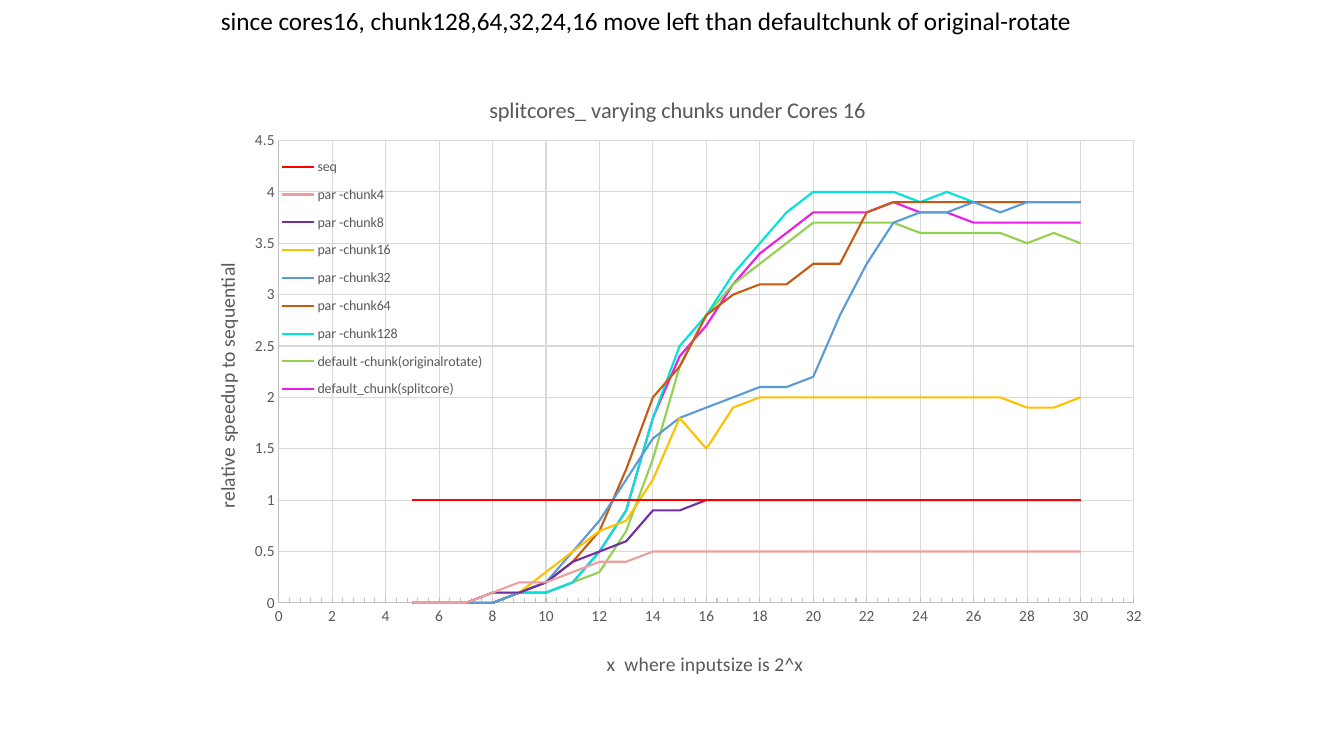
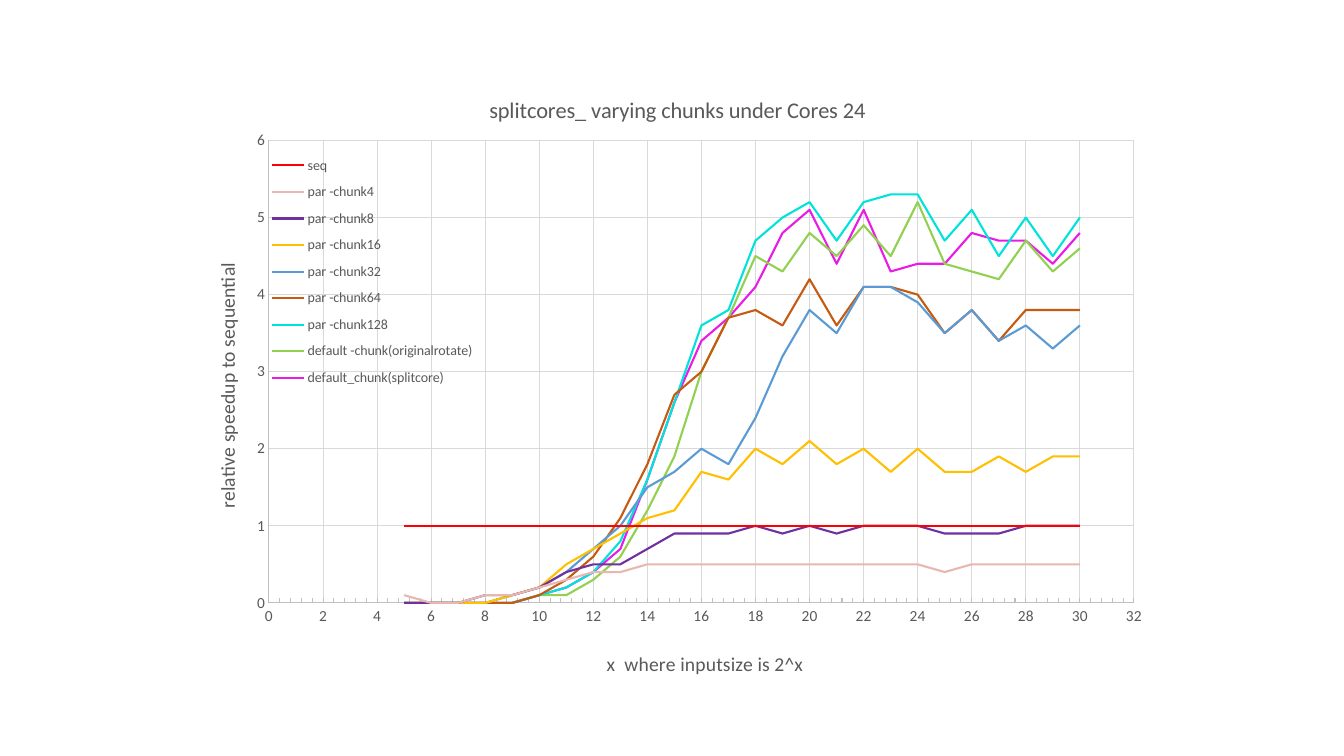
from lxml import etree
from pptx import Presentation
from pptx.chart import data as cd
from pptx.dml.color import RGBColor
from pptx.enum import chart as ec, text as et
from pptx.oxml.ns import qn
from pptx.util import Inches, Pt

FONT = "Calibri"
BLACK, GREY, AXIS, GRID = "000000", "595959", "BFBFBF", "D9D9D9"
BOX = (1.79, 0.65, 9.75, 6.2)
RIGHT = 0.97  # right edge of the plot, as a share of the chart
SIZES = range(5, 31)
NAMES = ["seq", "par -chunk4", "par -chunk8", "par -chunk16", "par -chunk32",
         "par -chunk64", "par -chunk128", "default -chunk(originalrotate)",
         "default_chunk(splitcore)"]
TINTS = ["FF0000", "EAA0A0", "7030A0", "FFC000", "5B9BD5",
         "C55A11", "00E3DA", "92D050", "E81CE6"]
SEQ = [1] * len(SIZES)

# Speedups, one row per series, one value per input size
CORES16 = [
    SEQ,
    [0, 0, 0, 0.1, 0.2, 0.2, 0.3, 0.4, 0.4] + [0.5] * 17,
    [0, 0, 0, 0.1, 0.1, 0.2, 0.4, 0.5, 0.6, 0.9, 0.9] + [1] * 15,
    [0, 0, 0, 0.1, 0.1, 0.3, 0.5, 0.7, 0.8, 1.2, 1.8, 1.5, 1.9,
     2, 2, 2, 2, 2, 2, 2, 2, 2, 2, 1.9, 1.9, 2],
    [0, 0, 0, 0, 0.1, 0.2, 0.5, 0.8, 1.2, 1.6, 1.8, 1.9, 2,
     2.1, 2.1, 2.2, 2.8, 3.3, 3.7, 3.8, 3.8, 3.9, 3.8, 3.9, 3.9, 3.9],
    [0, 0, 0, 0, 0.1, 0.2, 0.4, 0.7, 1.3, 2, 2.3, 2.8, 3,
     3.1, 3.1, 3.3, 3.3, 3.8, 3.9, 3.9, 3.9, 3.9, 3.9, 3.9, 3.9, 3.9],
    [0, 0, 0, 0, 0.1, 0.1, 0.2, 0.5, 0.9, 1.8, 2.5, 2.8, 3.2,
     3.5, 3.8, 4, 4, 4, 4, 3.9, 4, 3.9, 3.9, 3.9, 3.9, 3.9],
    [0, 0, 0, 0, 0.1, 0.1, 0.2, 0.3, 0.7, 1.4, 2.3, 2.8, 3.1,
     3.3, 3.5, 3.7, 3.7, 3.7, 3.7, 3.6, 3.6, 3.6, 3.6, 3.5, 3.6, 3.5],
    [0, 0, 0, 0, 0.1, 0.1, 0.2, 0.5, 0.9, 1.8, 2.4, 2.7, 3.1,
     3.4, 3.6, 3.8, 3.8, 3.8, 3.9, 3.8, 3.8, 3.7, 3.7, 3.7, 3.7, 3.7],
]
CORES24 = [
    SEQ,
    [0.1, 0, 0, 0.1, 0.1, 0.2, 0.3, 0.4, 0.4, 0.5, 0.5, 0.5, 0.5,
     0.5, 0.5, 0.5, 0.5, 0.5, 0.5, 0.5, 0.4, 0.5, 0.5, 0.5, 0.5, 0.5],
    [0, 0, 0, 0.1, 0.1, 0.2, 0.4, 0.5, 0.5, 0.7, 0.9, 0.9, 0.9,
     1, 0.9, 1, 0.9, 1, 1, 1, 0.9, 0.9, 0.9, 1, 1, 1],
    [0, 0, 0, 0, 0.1, 0.2, 0.5, 0.7, 0.9, 1.1, 1.2, 1.7, 1.6,
     2, 1.8, 2.1, 1.8, 2, 1.7, 2, 1.7, 1.7, 1.9, 1.7, 1.9, 1.9],
    [0, 0, 0, 0, 0.1, 0.2, 0.4, 0.7, 1, 1.5, 1.7, 2, 1.8,
     2.4, 3.2, 3.8, 3.5, 4.1, 4.1, 3.9, 3.5, 3.8, 3.4, 3.6, 3.3, 3.6],
    [0, 0, 0, 0, 0, 0.1, 0.3, 0.6, 1.1, 1.8, 2.7, 3, 3.7,
     3.8, 3.6, 4.2, 3.6, 4.1, 4.1, 4, 3.5, 3.8, 3.4, 3.8, 3.8, 3.8],
    [0, 0, 0, 0, 0, 0.1, 0.2, 0.4, 0.8, 1.6, 2.6, 3.6, 3.8,
     4.7, 5, 5.2, 4.7, 5.2, 5.3, 5.3, 4.7, 5.1, 4.5, 5, 4.5, 5],
    [0, 0, 0, 0, 0, 0.1, 0.1, 0.3, 0.6, 1.2, 1.9, 3, 3.7,
     4.5, 4.3, 4.8, 4.5, 4.9, 4.5, 5.2, 4.4, 4.3, 4.2, 4.7, 4.3, 4.6],
    [0, 0, 0, 0, 0, 0.1, 0.2, 0.4, 0.7, 1.6, 2.6, 3.4, 3.7,
     4.1, 4.8, 5.1, 4.4, 5.1, 4.3, 4.4, 4.4, 4.8, 4.7, 4.7, 4.4, 4.8],
]


def paint(target, color):
    """Give a font or a fill a solid colour."""
    target.rgb = RGBColor.from_string(color)


def style(font, size, color=GREY):
    font.name, font.size, font.bold = FONT, Pt(size), False
    paint(font.color, color)


def write(frame, words, size=14, color=GREY, align=None):
    para = frame.paragraphs[0]
    para.alignment = align
    run = para.add_run()
    run.text = words
    style(run.font, size, color)


def rule(line, color, width=0.75):
    line.width = Pt(width)
    paint(line.color, color)


def place(part, x, y, w=None, h=None):
    """Fix a chart part at shares of the chart's width and height."""
    node = part.find(qn("c:layout"))
    if node is None:
        node = etree.Element(qn("c:layout"))
        cover = part.find(qn("c:overlay"))
        if cover is None:
            part.insert(0, node)
        else:
            cover.addprevious(node)
    for child in list(node):
        node.remove(child)
    manual = etree.SubElement(node, qn("c:manualLayout"))
    items = [("xMode", "edge"), ("yMode", "edge"), ("x", x), ("y", y)]
    if w:
        items += [("w", w), ("h", h)]
    if part.tag == qn("c:plotArea"):
        items.insert(0, ("layoutTarget", "inner"))
    for name, value in items:
        etree.SubElement(manual, qn("c:" + name)).set("val", str(value))


def scale(axis, top, step, words, x, y):
    """Set up one axis with its grid and title."""
    axis.minimum_scale, axis.maximum_scale = 0, top
    axis.major_unit = step
    axis.major_tick_mark = axis.minor_tick_mark = ec.XL_TICK_MARK.NONE
    axis.has_major_gridlines = True
    rule(axis.major_gridlines.format.line, GRID)
    rule(axis.format.line, AXIS)
    style(axis.tick_labels.font, 11)
    axis.tick_labels.number_format = "General"
    axis.tick_labels.number_format_is_linked = False
    axis.has_title = True
    write(axis.axis_title.text_frame, words)
    place(axis.axis_title._element, x, y)


def graph(slide, box, title, rows, tints, top, step, left, key):
    """Draw a speedup chart; key is the legend's place."""
    data = cd.XyChartData()
    for name, row in zip(NAMES, rows):
        series = data.add_series(name)
        for point in zip(SIZES, row):
            series.add_data_point(*point)
    chart = slide.shapes.add_chart(
        ec.XL_CHART_TYPE.XY_SCATTER_LINES_NO_MARKERS,
        *map(Inches, box), data).chart
    style(chart.font, 10, BLACK)

    # Title
    chart.has_title = True
    write(chart.chart_title.text_frame, title, size=16)
    place(chart.chart_title._element, 0.31, 0.04)

    # Lines
    plot = chart.plots[0]
    plot.vary_by_categories = False
    for series, tint in zip(plot.series, tints):
        series.smooth = False
        rule(series.format.line, tint, 1.5)

    # Axes
    across, up = chart.category_axis, chart.value_axis
    scale(across, 32, 2, "x  where inputsize is 2^x", 0.43, 0.93)
    across.minor_unit = 0.4
    across.minor_tick_mark = ec.XL_TICK_MARK.INSIDE
    scale(up, top, step, "relative speedup to sequential", 0.03, 0.31)
    up.axis_title.text_frame._element.bodyPr.set("rot", "-5400000")
    place(chart._chartSpace.chart.plotArea,
          left, 0.12, round(RIGHT - left, 2), 0.74)

    # Legend
    chart.has_legend = True
    legend = chart.legend
    legend.position = ec.XL_LEGEND_POSITION.RIGHT
    legend.include_in_layout = True
    style(legend.font, 10)
    place(legend._element, *key)


def head(slide, box, words):
    """Place the slide title."""
    title = slide.shapes.title
    title.left, title.top, title.width, title.height = map(Inches, box)
    frame = title.text_frame
    frame.word_wrap = False
    frame.auto_size = et.MSO_AUTO_SIZE.SHAPE_TO_FIT_TEXT
    frame.vertical_anchor = et.MSO_ANCHOR.TOP
    write(frame, words, size=18, color=BLACK, align=et.PP_ALIGN.LEFT)


def main():
    deck = Presentation()
    deck.slide_width, deck.slide_height = Inches(13.33), Inches(7.5)
    titled, blank = deck.slide_layouts[5], deck.slide_layouts[6]

    # 16 cores
    slide = deck.slides.add_slide(titled)
    graph(slide, BOX, "splitcores_ varying chunks under Cores 16", CORES16,
          TINTS, 4.5, 0.5, 0.1, (0.1, 0.13, 0.21, 0.42))
    head(slide, (2.09, 0, 8.68, 0.4),
         "since cores16, chunk128,64,32,24,16 move left than "
         "defaultchunk of original-rotate")

    # 24 cores, with a paler second line
    slide = deck.slides.add_slide(blank)
    pale = TINTS[:1] + ["E7B7B0"] + TINTS[2:]
    graph(slide, BOX, "splitcores_ varying chunks under Cores 24", CORES24,
          pale, 6, 1, 0.09, (0.09, 0.13, 0.21, 0.4))

    deck.save("out.pptx")


if __name__ == "__main__":
    main()
